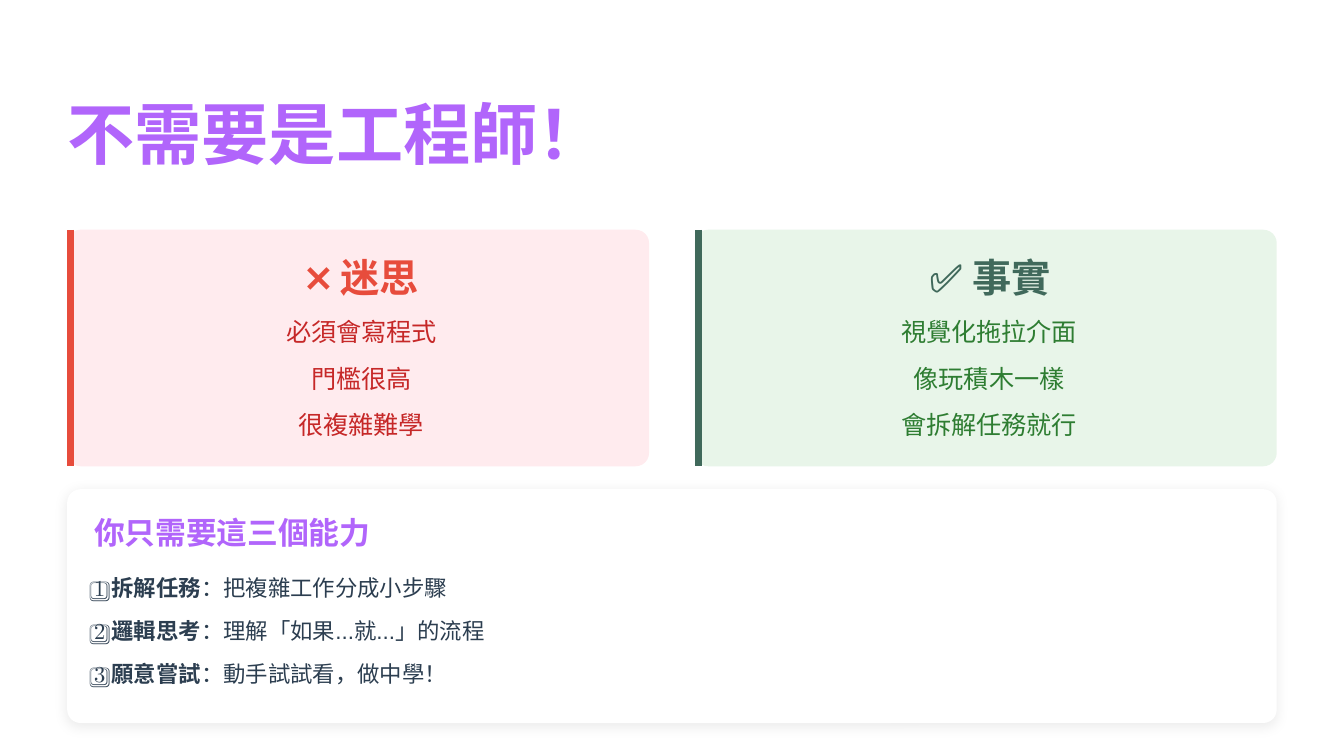
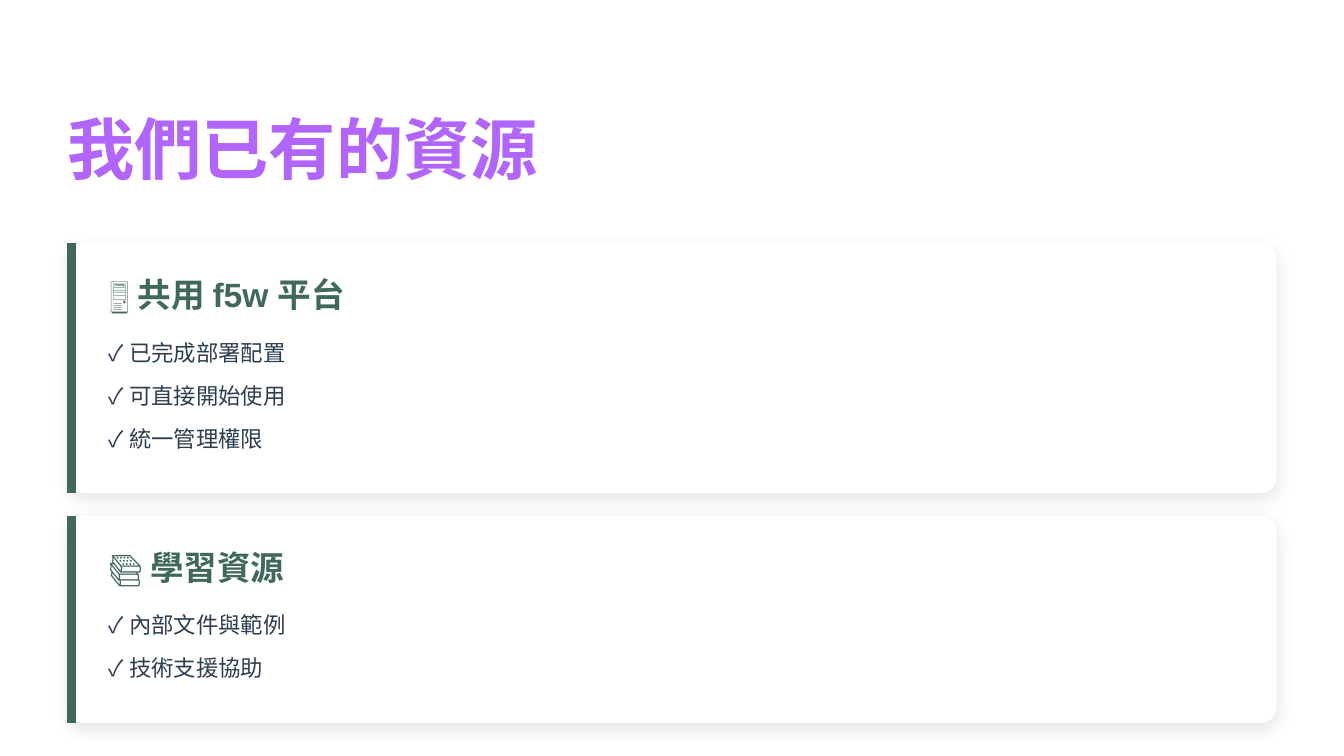
"""Build two slides: myths versus facts about automation, and available resources."""
from lxml import etree
from pptx import Presentation
from pptx.dml.color import RGBColor
from pptx.enum import shapes, text
from pptx.oxml import ns
from pptx.util import Inches, Pt

FONT = "Arial"
COLORS = {
    "purple": "B165FB", "red": "E74C3C", "green": "40695B", "ink": "2C3E50",
    "dark red": "C62828", "dark green": "2E7D32",
    "pink": "FFEBEE", "mint": "E8F5E9", "white": "FFFFFF", "black": "000000",
}
LEFT, CONTENT_WIDTH = 0.5, 9
LINE_STEP = 0.32

MYTH_TITLE = "不需要是工程師！"
COMPARISON = [
    ("❌ 迷思", "red", "pink", "dark red", ["必須會寫程式", "門檻很高", "很複雜難學"]),
    ("✅ 事實", "green", "mint", "dark green", ["視覺化拖拉介面", "像玩積木一樣", "會拆解任務就行"]),
]
SKILLS_TITLE = "你只需要這三個能力"
SKILLS = [
    ("1️⃣ ", "拆解任務", "：把複雜工作分成小步驟"),
    ("2️⃣ ", "邏輯思考", "：理解「如果...就...」的流程"),
    ("3️⃣ ", "願意嘗試", "：動手試試看，做中學！"),
]
RESOURCE_TITLE = "我們已有的資源"
RESOURCES = [
    (1.81, 1.86, "🖥️ 共用 f5w 平台", ["已完成部署配置", "可直接開始使用", "統一管理權限"]),
    (3.84, 1.54, "📚 學習資源", ["內部文件與範例", "技術支援協助"]),
]


def rgb(name):
    return RGBColor.from_string(COLORS[name])


def write(box, runs, size, color, line, bold=False, before=0, after=0, align="LEFT"):
    frame = box.text_frame
    frame.word_wrap = True
    frame.auto_size = text.MSO_AUTO_SIZE.NONE
    frame.vertical_anchor = text.MSO_ANCHOR.TOP
    frame.margin_left = frame.margin_top = frame.margin_right = frame.margin_bottom = 0
    para = frame.paragraphs[0]
    para.alignment = text.PP_ALIGN[align]
    para.line_spacing = Pt(line)
    para.space_before, para.space_after = Pt(before), Pt(after)
    para.font.name, para.font.size, para.font.bold = FONT, Pt(size), bold
    para.font.color.rgb = rgb(color)
    for index, words in enumerate(runs):
        span = para.add_run()
        span.text = words
        if len(runs) > 1:
            span.font.bold = index == 1


def add_text(page, area, runs, *style, **options):
    box = page.shapes.add_textbox(*map(Inches, area))
    write(box, runs, *style, **options)


def add_item(page, left, top, width, runs):
    add_text(page, (left, top, width, 0.25), runs, 12, "ink", 18, before=4.8, after=4.8)


def add_shadow(card, opacity, blur, distance):
    effects = card._element.spPr.find(ns.qn("a:effectLst"))
    shadow = etree.SubElement(
        effects, ns.qn("a:outerShdw"), blurRad=str(Pt(blur)), dist=str(Pt(distance)),
        dir="5400000", algn="bl", rotWithShape="0")
    tint = etree.SubElement(shadow, ns.qn("a:srgbClr"), val=COLORS["black"])
    etree.SubElement(tint, ns.qn("a:alpha"), val=str(opacity * 1000))


def add_card(page, left, top, width, height, fill, radius, shadow=None):
    card = page.shapes.add_shape(
        shapes.MSO_SHAPE.ROUNDED_RECTANGLE, *map(Inches, (left, top, width, height)))
    card.adjustments[0] = radius / height
    card.fill.solid()
    card.fill.fore_color.rgb = rgb(fill)
    card.line.fill.background()
    card.shadow.inherit = False
    if shadow:
        add_shadow(card, *shadow)


def add_bar(page, left, top, height, color, weight):
    x = Inches(left) + Pt(weight) // 2
    bar = page.shapes.add_connector(
        shapes.MSO_CONNECTOR.STRAIGHT, x, Inches(top), x, Inches(top + height))
    bar.line.color.rgb = rgb(color)
    bar.line.width = Pt(weight)
    etree.SubElement(bar._element.spPr, ns.qn("a:effectLst"))


def add_page(deck, heading, top):
    page = deck.slides.add_slide(deck.slide_layouts[5])
    title = page.shapes.title
    title.left, title.top, title.width, title.height = map(Inches, (LEFT, top, 4.6, 0.5))
    write(title, [heading], 36, "purple", 36, bold=True, after=18)
    return page


def build_myths(deck):
    page = add_page(deck, MYTH_TITLE, 0.79)
    top, width, height = 1.71, 4.33, 1.76
    for column, (heading, accent, fill, ink, lines) in enumerate(COMPARISON):
        left = LEFT + column * (CONTENT_WIDTH - width)
        add_card(page, left, top, width, height, fill, 0.1)
        add_bar(page, left, top, height, accent, 3.75)
        add_text(page, (left + 1.2, top + 0.2, 1.99, 0.32), [heading],
                 21, accent, 23.3, bold=True, align="CENTER")
        for row, words in enumerate(lines):
            add_text(page, (left + 0.21, top + 0.61 + row * 0.69 / 2, 3.96, 0.26), [words],
                     13.5, ink, 18.9, before=6, align="CENTER")
    top = 3.64
    add_card(page, LEFT, top, CONTENT_WIDTH, 1.74, "white", 0.1, (8, 6, 1.5))
    add_text(page, (0.7, top + 0.2, 4.4, 0.25), [SKILLS_TITLE],
             16.5, "purple", 18.3, bold=True, after=9.6)
    for row, runs in enumerate(SKILLS):
        add_item(page, 0.7, top + 0.58 + row * LINE_STEP, 8.77, runs)


def build_resources(deck):
    page = add_page(deck, RESOURCE_TITLE, 0.9)
    for top, height, heading, lines in RESOURCES:
        add_card(page, LEFT, top, CONTENT_WIDTH, height, "white", 0.12, (10, 9, 3))
        add_bar(page, LEFT, top, height, "green", 4.5)
        add_text(page, (0.81, top + 0.25, 4.31, 0.28), [heading],
                 18, "green", 20, bold=True, after=9.6)
        for row, words in enumerate(lines):
            add_item(page, 0.81, top + 0.66 + row * LINE_STEP, 8.61, ["✓ " + words])


def main():
    deck = Presentation()
    deck.slide_width = Inches(10)
    deck.slide_height = deck.slide_width * 9 // 16
    build_myths(deck)
    build_resources(deck)
    deck.save("out.pptx")


if __name__ == "__main__":
    main()
